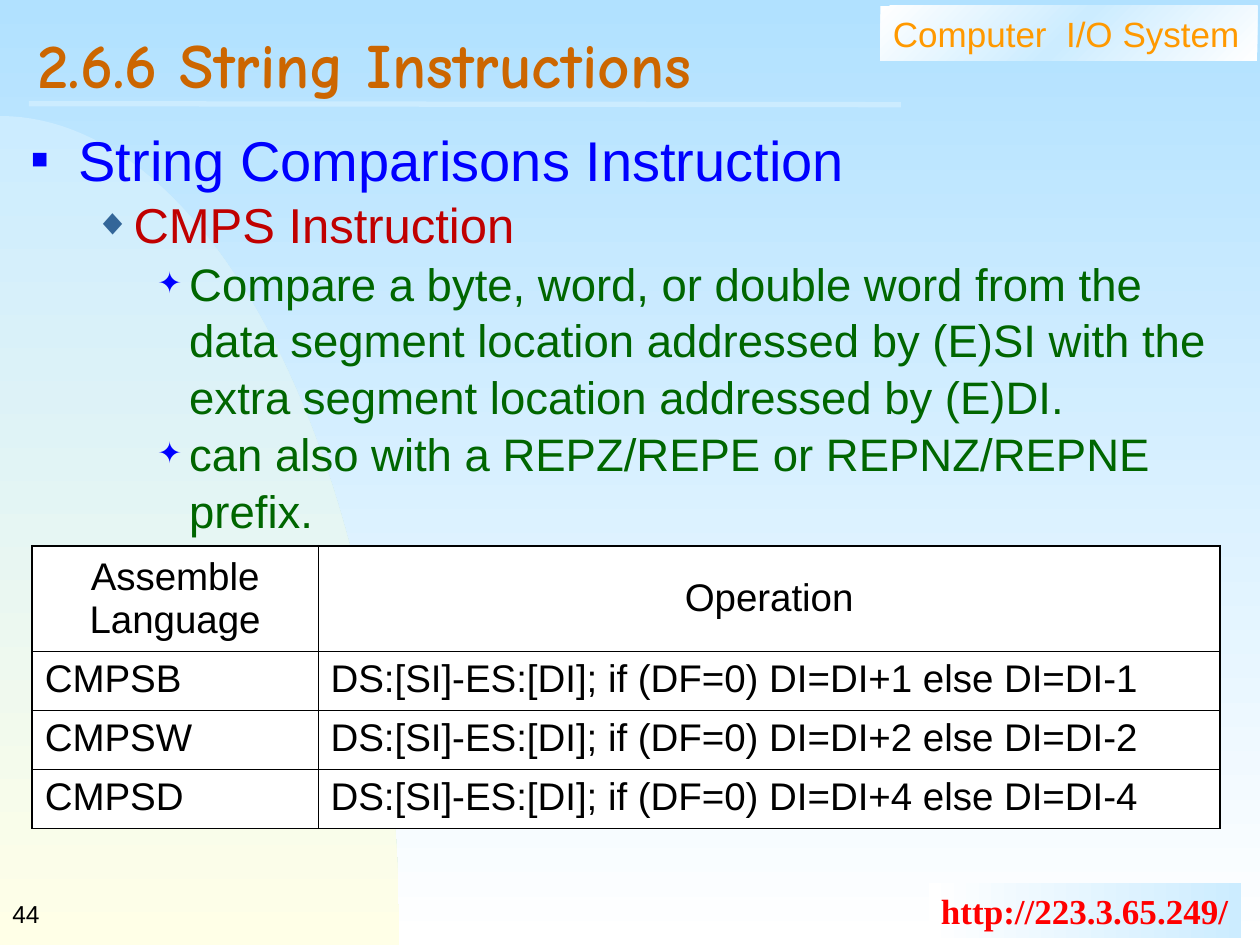
from copy import deepcopy
from math import cos, pi, sin

from lxml.etree import SubElement
from pptx import Presentation
from pptx.dml.color import RGBColor
from pptx.enum.shapes import MSO_CONNECTOR, MSO_SHAPE
from pptx.enum.text import MSO_ANCHOR, MSO_AUTO_SIZE, PP_ALIGN
from pptx.oxml.ns import qn
from pptx.util import Cm, Pt

COLORS = {
    "sky": "B1E1FF", "pale": "CCECFF", "cream": "FFFFE7", "white": "FFFFFF",
    "black": "000000", "orange": "FF9900", "rust": "CC6600", "red": "FF0000",
    "blue": "0000FF", "steel": "336699", "crimson": "C00000", "green": "006600",
}
# Per list level: left margin and hanging indent (cm), bullet, its colour and
# size (%), text size and colour
LEVELS = [
    (0.95, 0.95, "■", "blue", 50, 32, "blue"),
    (2.06, 0.79, "◆", "steel", 75, 28, "crimson"),
    (3.18, 0.64, "✦", "blue", 65, 26, "green"),
]
POINTS = [
    (0, "String Comparisons Instruction"),
    (1, "CMPS Instruction"),
    (2, "Compare a byte, word, or double word from the data segment location "
        "addressed by (E)SI with the extra segment location addressed by (E)DI."),
    (2, "can also with a REPZ/REPE or REPNZ/REPNE prefix."),
]
ROWS = [("Assemble Language", "Operation")] + [
    (name, f"DS:[SI]-ES:[DI]; if (DF=0) DI=DI+{n} else DI=DI-{n}")
    for name, n in (("CMPSB", 1), ("CMPSW", 2), ("CMPSD", 4))
]


def rgb(name):
    return RGBColor.from_string(COLORS[name])


def write(p, text, size=22, color="black", font="Arial", bold=False,
          align=PP_ALIGN.LEFT, spacing=1.0):
    p.alignment, p.line_spacing, p.space_before = align, spacing, Pt(0)
    r = p.add_run()
    r.text = text
    r.font.size, r.font.name, r.font.bold = Pt(size), font, bold
    r.font.color.rgb = rgb(color)


def gradient(fill, names, angle):
    """Spread two or three colours evenly, turned clockwise by angle."""
    fill.gradient()
    fill.gradient_angle = (360 - angle) % 360
    first = fill.gradient_stops[0]._gs
    for _ in names[2:]:
        first.addnext(deepcopy(first))
    for i, (stop, name) in enumerate(zip(fill.gradient_stops, names)):
        stop.position = i / (len(names) - 1)
        stop.color.rgb = rgb(name)


def place(s, box):
    s.left, s.top, s.width, s.height = map(Cm, box)


def add_backdrop(slide, box):
    """Quarter ellipse that fills the box from its bottom left corner."""
    gradient(slide.background.fill, ["sky", "white"], 90)
    left, top, width, height = map(Cm, box)
    arc = [(left + width * sin(i * pi / 120), top + height * (1 - cos(i * pi / 120)))
           for i in range(61)]
    builder = slide.shapes.build_freeform(*arc[0])
    builder.add_line_segments(arc[1:] + [(left, top + height)], close=True)
    s = builder.convert_to_shape()
    s.shadow.inherit = False
    gradient(s.fill, ["pale", "cream"], 90)
    s.line.fill.background()


def add_label(slide, box, text, fill, angle, wrap, **style):
    s = slide.shapes.add_shape(MSO_SHAPE.RECTANGLE, *map(Cm, box))
    s.shadow.inherit = False
    gradient(s.fill, fill, angle)
    s.line.fill.background()
    tf = s.text_frame
    tf.word_wrap, tf.auto_size = wrap, MSO_AUTO_SIZE.SHAPE_TO_FIT_TEXT
    tf.vertical_anchor = MSO_ANCHOR.TOP
    write(tf.paragraphs[0], text, size=20, **style)


def add_rule(slide, box):
    left, top, width, height = box
    line = slide.shapes.add_connector(
        MSO_CONNECTOR.STRAIGHT, Cm(left), Cm(top), Cm(left + width), Cm(top + height))
    line.line.color.rgb, line.line.width = rgb("pale"), Pt(3)
    SubElement(line._element.spPr, qn("a:effectLst"))


def add_page_number(slide, box, text):
    tf = slide.shapes.add_textbox(*map(Cm, box)).text_frame
    tf.word_wrap, tf.vertical_anchor = False, MSO_ANCHOR.MIDDLE
    write(tf.paragraphs[0], text, size=14)


def fill_title(s, box, text):
    place(s, box)
    tf = s.text_frame
    tf.auto_size, tf.vertical_anchor = MSO_AUTO_SIZE.NONE, MSO_ANCHOR.MIDDLE
    write(tf.paragraphs[0], text, size=36, color="rust", font="Comic Neue",
          bold=True, spacing=0.7)


def set_bullet(p, margin, hang, char, color, percent):
    pPr = p._p.get_or_add_pPr()
    pPr.set("marL", str(Cm(margin)))
    pPr.set("indent", str(-Cm(hang)))
    clr = SubElement(pPr, qn("a:buClr"))
    SubElement(clr, qn("a:srgbClr"), val=COLORS[color])
    SubElement(pPr, qn("a:buSzPct"), val=str(percent * 1000))
    SubElement(pPr, qn("a:buFont"), typeface="Arial")
    SubElement(pPr, qn("a:buChar"), char=char)


def fill_list(s, box, points):
    place(s, box)
    tf = s.text_frame
    tf.auto_size = MSO_AUTO_SIZE.NONE
    for i, (level, text) in enumerate(points):
        p = tf.add_paragraph() if i else tf.paragraphs[0]
        *bullet, size, color = LEVELS[level]
        p.level = level
        set_bullet(p, *bullet)
        write(p, text, size=size, color=color, spacing=1.04)


def set_borders(cell, widths):
    """Draw black borders; widths are points by side letter L, R, T, B."""
    tcPr = cell._tc.get_or_add_tcPr()
    for side, width in widths.items():
        ln = SubElement(tcPr, qn(f"a:ln{side}"), w=str(Pt(width)))
        fill = SubElement(ln, qn("a:solidFill"))
        SubElement(fill, qn("a:srgbClr"), val=COLORS["black"])


def add_operations(slide, box, rows, col_widths, row_heights):
    table = slide.shapes.add_table(len(rows), len(col_widths), *map(Cm, box)).table
    table.first_row = table.horz_banding = False
    for col, width in zip(table.columns, col_widths):
        col.width = Cm(width)
    for row, height in zip(table.rows, row_heights):
        row.height = Cm(height)
    last_row, last_col = len(rows) - 1, len(col_widths) - 1
    outer, inner = 1.08, 0.45
    for i, row in enumerate(rows):
        for j, text in enumerate(row):
            cell = table.cell(i, j)
            edges = {"L": j == 0, "R": j == last_col, "T": i == 0, "B": i == last_row}
            set_borders(cell, {k: outer if v else inner for k, v in edges.items()})
            cell.fill.solid()
            cell.fill.fore_color.rgb = rgb("white")
            cell.vertical_anchor = MSO_ANCHOR.TOP if i else MSO_ANCHOR.MIDDLE
            write(cell.text_frame.paragraphs[0], text,
                  align=PP_ALIGN.LEFT if i else PP_ALIGN.CENTER)


def main():
    prs = Presentation()
    prs.slide_width, prs.slide_height = Cm(25.4), Cm(19.05)
    slide = prs.slides.add_slide(prs.slide_layouts[1])
    title, body = slide.placeholders

    add_backdrop(slide, (0, 2.34, 8.05, 16.71))
    add_label(slide, (17.75, 0.12, 7.6, 1.11), "Computer  I/O System",
              ["white", "pale", "white"], 45, True, color="orange")
    add_label(slide, (18.72, 17.81, 6.3, 1.11), "http://223.3.65.249/",
              ["white", "pale"], 0, False, color="red",
              font="Times New Roman", bold=True)
    add_rule(slide, (0.58, 2.09, 17.58, 0.02))
    add_page_number(slide, (0, 17.78, 5.28, 1.27), "44")

    for s in (title, body):  # bring the text in front of the backdrop
        slide.shapes._spTree.append(s._element)
    fill_title(title, (0.5, 0.5, 24.25, 1.95), "2.6.6 String Instructions")
    fill_list(body, (0.38, 2.34, 24.38, 15.24), POINTS)
    add_operations(slide, (0.65, 11, 23.95, 5.67), ROWS,
                   (5.76, 18.19), (2.13, 1.19, 1.19, 1.19))
    prs.save("out.pptx")


if __name__ == "__main__":
    main()
